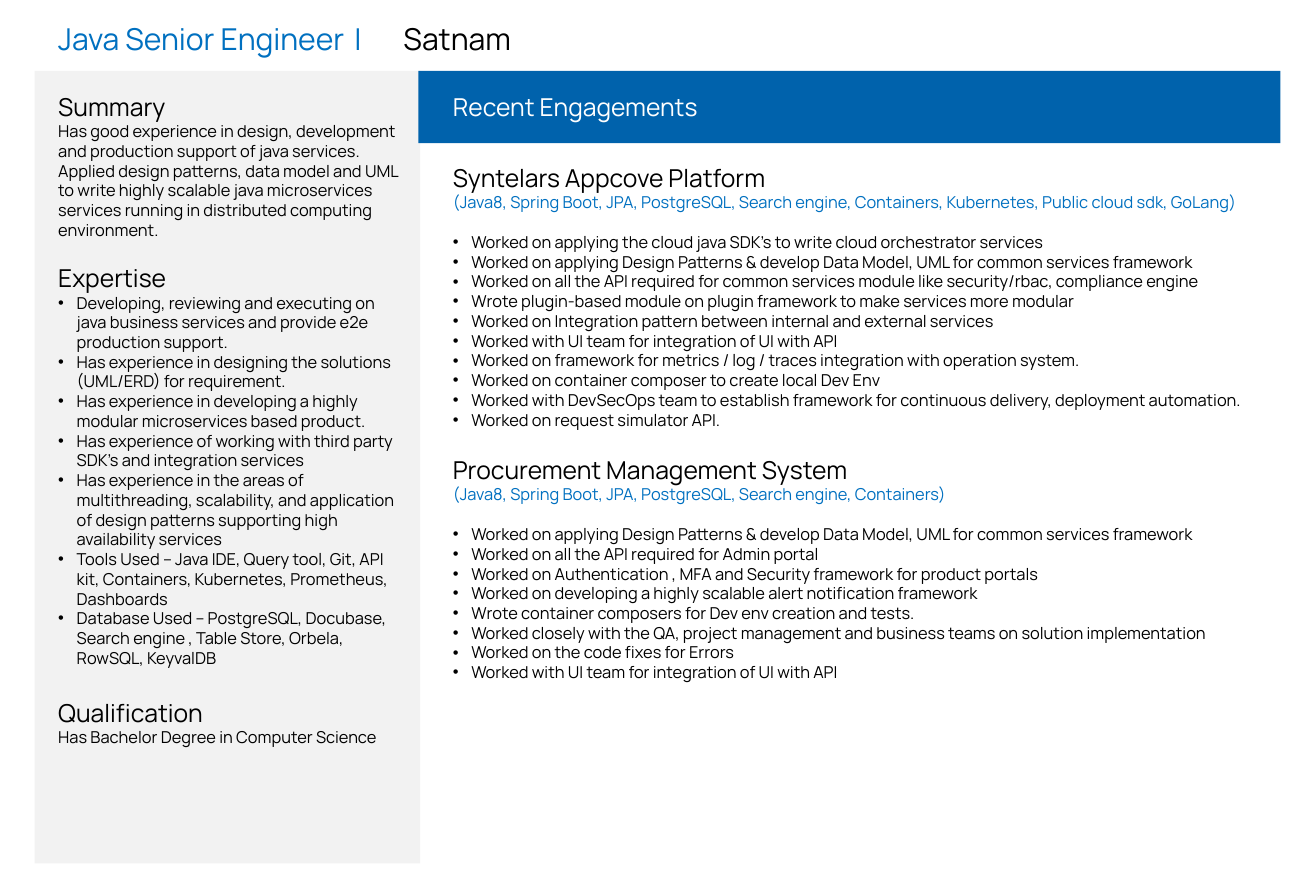
import pptx
import pptx.util
import pptx.dml.color
import pptx.enum.text
import pptx.oxml
import pptx.oxml.ns

Pt = pptx.util.Pt
Align = pptx.enum.text.PP_ALIGN
Anchor = pptx.enum.text.MSO_ANCHOR

FONT = "Manrope"
COLOURS = {"accent": "0070C0", "text": "000000", "band": "0062AC",
           "panel": "F2F2F2", "light": "FFFFFF"}
BODY_SIZE = 12
HEADING_SIZE = 18
BULLET_INDENT = 13.5

SUMMARY = ("Has good experience in design, development and production support of "
           "java services. Applied design patterns, data model and UML to write "
           "highly scalable java microservices services running in distributed "
           "computing environment.")
EXPERTISE = [
    "Developing, reviewing and executing on java business services and provide "
    "e2e production support.",
    "Has experience in designing the solutions (UML/ERD) for requirement.",
    "Has experience in developing a highly modular microservices based product.",
    "Has experience of working with third party SDK’s and integration services",
    "Has experience in the areas of multithreading, scalability, and application "
    "of design patterns supporting high availability services",
    "Tools Used -- Java IDE, Query tool, Git, API kit, Containers, Kubernetes, "
    "Prometheus, Dashboards",
    "Database Used -- PostgreSQL, Docubase, Search engine , Table Store, Orbela, "
    "RowSQL, KeyvalDB",
]
QUALIFICATION = "Has Bachelor Degree in Computer Science"

SHARED_MODEL = ("Worked on applying Design Patterns & develop Data Model, UML for "
                "common services framework")
SHARED_UI = "Worked with UI team for integration of UI with API"
PLATFORM = (
    "Syntelars Appcove Platform",
    "(Java8, Spring Boot, JPA, PostgreSQL, Search engine, Containers, Kubernetes, "
    "Public cloud sdk, GoLang)",
    ["Worked on applying the cloud java SDK’s to write cloud orchestrator services",
     SHARED_MODEL,
     "Worked on all the API required for common services module like "
     "security/rbac, compliance engine",
     "Wrote plugin-based module on plugin framework to make services more modular",
     "Worked on Integration pattern between internal and external services",
     SHARED_UI,
     "Worked on framework for metrics / log / traces integration with operation "
     "system.",
     "Worked on container composer to create local Dev Env",
     "Worked with DevSecOps team to establish framework for continuous delivery, "
     "deployment automation.",
     "Worked on request simulator API."],
)
PROCUREMENT = (
    "Procurement Management System",
    "(Java8, Spring Boot, JPA, PostgreSQL, Search engine, Containers)",
    [SHARED_MODEL,
     "Worked on all the API required for Admin portal",
     "Worked on Authentication , MFA and Security framework for product portals",
     "Worked on developing a highly scalable alert notification framework",
     "Wrote container composers for Dev env creation and tests.",
     "Worked closely with the QA, project management and business teams on "
     "solution implementation",
     "Worked on the code fixes for Errors",
     SHARED_UI],
)


def rgb(colour):
    return pptx.dml.color.RGBColor.from_string(COLOURS[colour])


def add_element(para, tag, **attributes):
    parent = para._p.get_or_add_pPr()
    element = pptx.oxml.parse_xml(f"<a:{tag} {pptx.oxml.ns.nsdecls('a')}/>")
    for name, value in attributes.items():
        element.set(name, str(value))
    parent.append(element)
    return element


def add_span(para, text, size, colour):
    span = para.add_run()
    span.text = text
    span.font.name = FONT
    span.font.size = Pt(size)
    span.font.bold = False
    span.font.color.rgb = rgb(colour)


def add_text(frame, text, size=BODY_SIZE, colour="text", bullet=False, before=0):
    """Append one paragraph, using the frame's empty first paragraph if it is free."""
    first = frame.paragraphs[0]
    para = frame.add_paragraph() if first.runs else first
    indent = Pt(BULLET_INDENT) if bullet else 0
    properties = para._p.get_or_add_pPr()
    properties.set("marL", str(indent))
    properties.set("indent", str(-indent))
    if bullet:
        add_element(para, "buFont", typeface="Arial")
        add_element(para, "buChar", char="•")
    else:
        add_element(para, "buNone")
    para.alignment = Align.LEFT
    para.line_spacing = 1.0
    para.space_before = Pt(before)
    para.space_after = Pt(0)
    add_span(para, text, size, colour)
    return para


def place(holder, box, margins=(7.2, 3.6, 7.2, 3.6), fill=None, anchor=Anchor.TOP):
    """Move a placeholder into its box and return its text frame."""
    holder.left, holder.top, holder.width, holder.height = map(Pt, box)
    if fill:
        holder.fill.solid()
        holder.fill.fore_color.rgb = rgb(fill)
    frame = holder.text_frame
    frame.word_wrap = True
    frame.auto_size = pptx.enum.text.MSO_AUTO_SIZE.NONE
    frame.vertical_anchor = anchor
    (frame.margin_left, frame.margin_top,
     frame.margin_right, frame.margin_bottom) = map(Pt, margins)
    return frame


def fill_title(holder, box):
    frame = place(holder, box)
    para = add_text(frame, "Java Senior Engineer\t|\t", size=22, colour="accent")
    stops = add_element(para, "tabLst")
    for position in (221, 240):
        stop = pptx.oxml.parse_xml(f"<a:tab {pptx.oxml.ns.nsdecls('a')}/>")
        stop.set("pos", str(Pt(position)))
        stop.set("algn", "l")
        stops.append(stop)
    add_span(para, "Satnam", 22, "text")


def fill_sidebar(holder, box):
    frame = place(holder, box, margins=(17.3, 15.1, 15.1, 3.6), fill="panel")
    add_text(frame, "Summary", size=HEADING_SIZE)
    add_text(frame, SUMMARY)
    add_text(frame, "Expertise", size=HEADING_SIZE, before=17)
    for item in EXPERTISE:
        add_text(frame, item, bullet=True)
    add_text(frame, "Qualification", size=HEADING_SIZE, before=22)
    add_text(frame, QUALIFICATION)


def fill_band(holder, box):
    frame = place(holder, box, margins=(25.2, 3.6, 7.2, 3.6), fill="band",
                  anchor=Anchor.MIDDLE)
    add_text(frame, "Recent Engagements", size=HEADING_SIZE, colour="light")


def fill_engagement(holder, box, engagement):
    heading, technologies, tasks = engagement
    frame = place(holder, box)
    add_text(frame, heading, size=HEADING_SIZE)
    add_text(frame, technologies, colour="accent")
    for number, task in enumerate(tasks):
        add_text(frame, task, bullet=True, before=0 if number else 14.5)


def main():
    deck = pptx.Presentation()
    deck.slide_width, deck.slide_height = Pt(960.5), Pt(652.3)
    page = deck.slides.add_slide(deck.slide_layouts.get_by_name("Comparison"))
    title, first, sidebar, band, second = page.placeholders
    fill_title(title, (35.3, 11.5, 370, 34))
    fill_sidebar(sidebar, (25.2, 51.8, 281.5, 578.2))
    fill_band(band, (305.3, 51.8, 629.3, 52.6))
    fill_engagement(first, (323.3, 115.2, 620, 203.8), PLATFORM)
    fill_engagement(second, (323.3, 328.3, 601.2, 174.2), PROCUREMENT)
    deck.save("out.pptx")


if __name__ == "__main__":
    main()
